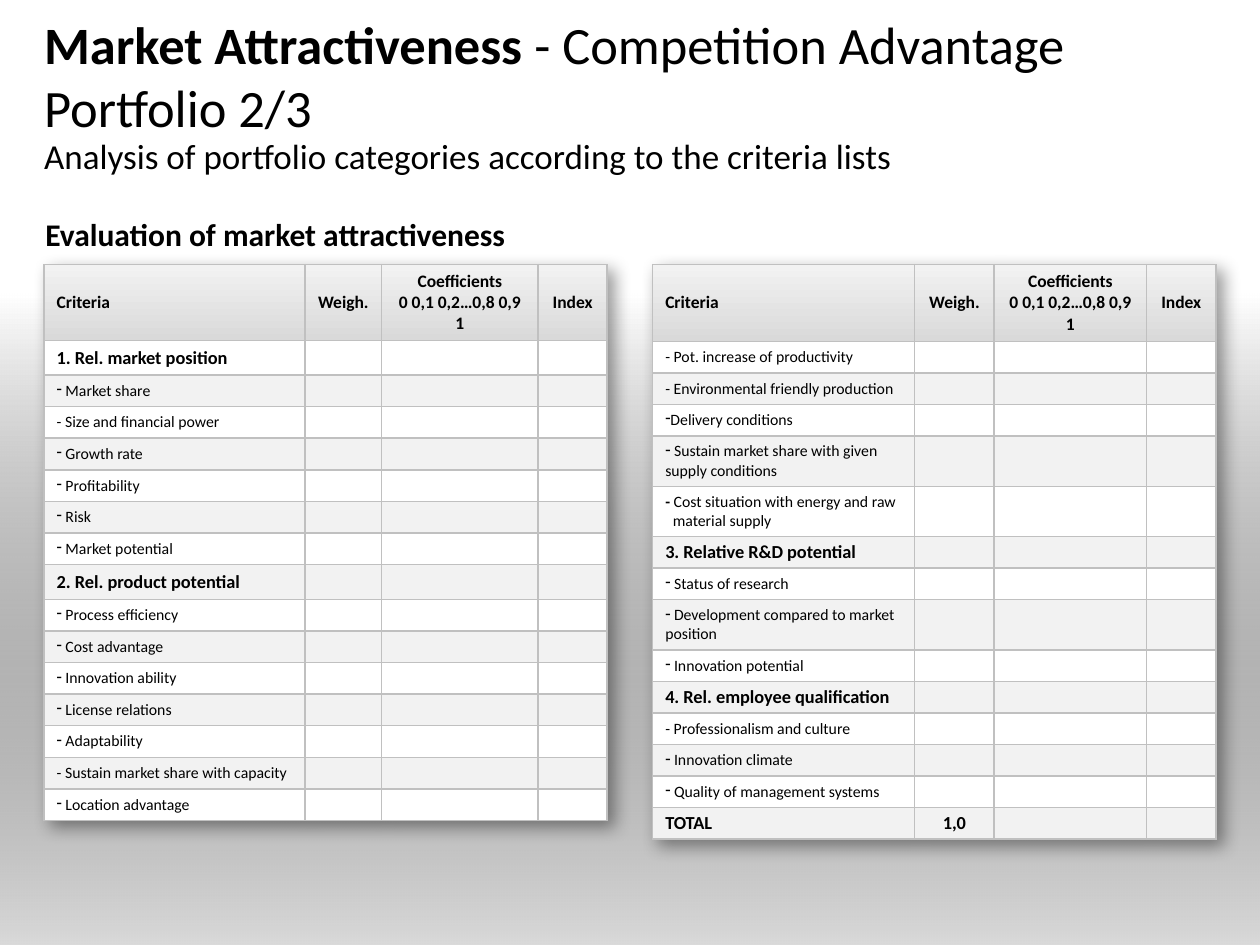
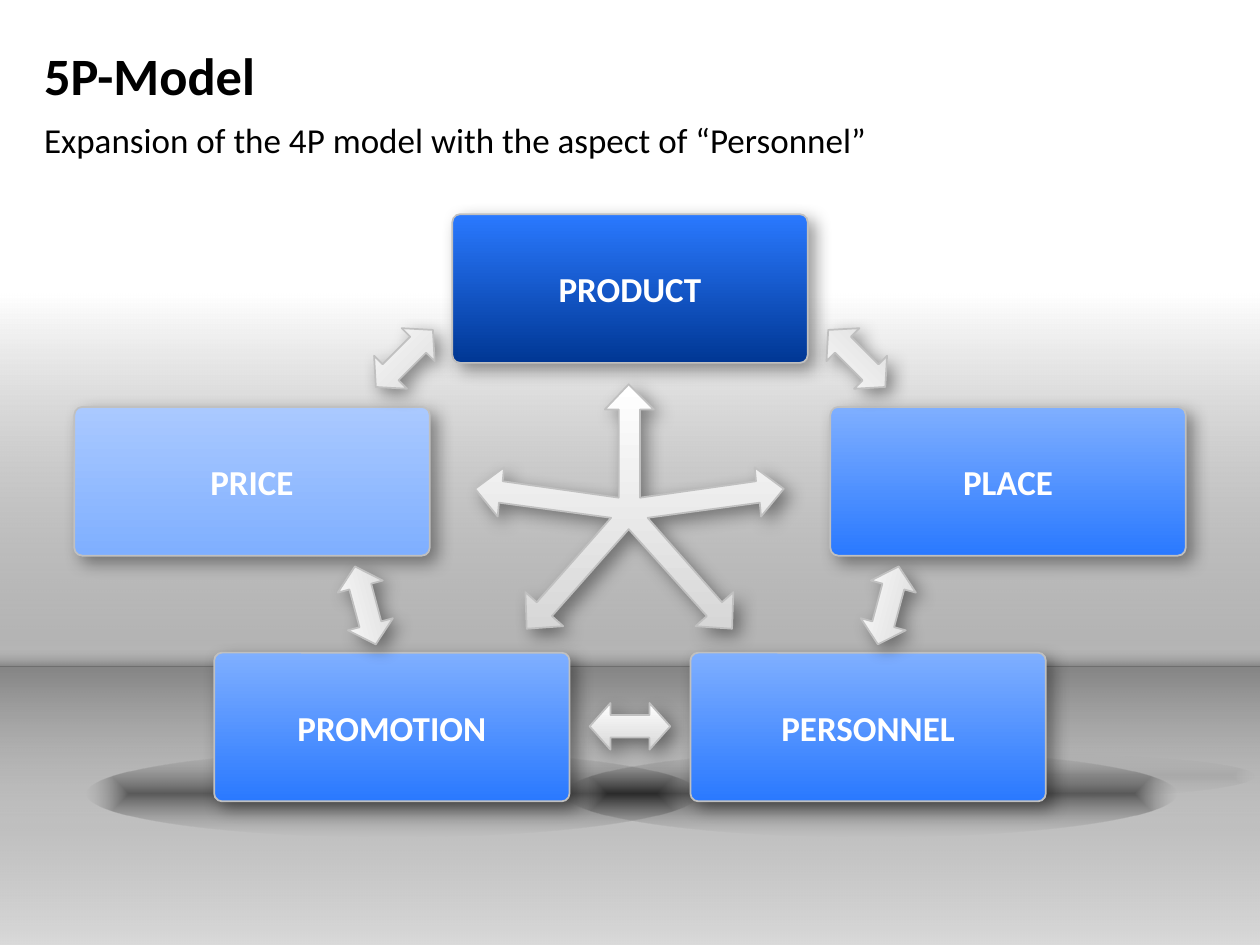
from lxml.etree import SubElement
from pptx import Presentation
from pptx.dml.color import RGBColor
from pptx.enum.shapes import MSO_SHAPE
from pptx.enum.text import MSO_ANCHOR, PP_ALIGN
from pptx.oxml import parse_xml
from pptx.oxml.ns import nsdecls, qn
from pptx.util import Inches, Pt

FONT = "Calibri"
BLACK, WHITE, SILVER, PALE = "000000", "FFFFFF", "C0C0C0", "F2F2F2"
HEADER_GRADIENT = [(0, PALE, 100), (100, "D9D9D9", 100)]
BACKDROP = [(0, BLACK, 15), (100, WHITE, 100)]
HORIZON = [(0, BLACK, 26), (98, WHITE, 0)]
ARROW_GRADIENT = [(0, "D7D7D7", 100), (100, WHITE, 100)]
LIGHT_BLUE = [(0, "AAC9FF", 100), (100, "7FAFFF", 100)]
MID_BLUE = [(0, "7FAFFF", 100), (100, "2A79FF", 100)]
DARK_BLUE = [(0, "2A79FF", 100), (100, "003794", 100)]
SHADOW = (
    f'<a:outerShdw {nsdecls("a")} blurRad="127000" dist="63500" dir="2700000" '
    'algn="tl" rotWithShape="0"><a:srgbClr val="000000"><a:alpha val="40000"/>'
    "</a:srgbClr></a:outerShdw>"
)

HEADERS = ["Criteria", "Weigh.", "Coefficients\n0 0,1 0,2…0,8 0,9 1", "Index"]
COST_CRITERION = "- Cost situation with energy and raw material supply"
MARKET_CRITERIA = [
    "1. Rel. market position", " Market share", "- Size and financial power",
    " Growth rate", " Profitability", " Risk", " Market potential",
    "2. Rel. product potential", " Process efficiency", " Cost advantage",
    " Innovation ability", " License relations", " Adaptability",
    "- Sustain market share with capacity", " Location advantage",
]
POTENTIAL_CRITERIA = [
    "- Pot. increase of productivity", "- Environmental friendly production",
    "Delivery conditions", " Sustain market share with given supply conditions",
    COST_CRITERION, "3. Relative R&D potential", " Status of research",
    " Development compared to market position", " Innovation potential",
    "4. Rel. employee qualification", "- Professionalism and culture",
    " Innovation climate", " Quality of management systems", "TOTAL",
]
TWO_LINE_ROWS = (4, 5, 8)

BOX_SIZE = (2.82, 1.18)
BOXES_BACK = [
    ("PRICE", 0.59, 3.23, LIGHT_BLUE),
    ("PRODUCT", 3.59, 1.7, DARK_BLUE),
    ("PLACE", 6.59, 3.23, MID_BLUE),
]
BOXES_FRONT = [("PROMOTION", 1.7, 5.18, MID_BLUE), ("PERSONNEL", 5.48, 5.18, MID_BLUE)]
LINK_ARROWS = [
    (2.58, 4.62, 255), (6.73, 4.62, 285), (4.68, 5.58, 0),
    (2.89, 2.66, 315), (6.48, 2.66, 225),
]
STAR_AXIS_SUM = 9.99
STAR_RIGHT_HALF = [
    (4.99, 3.05), (5.19, 3.25), (5.08, 3.25), (5.08, 3.95), (6, 3.82),
    (5.99, 3.71), (6.22, 3.88), (6.04, 4.1), (6.03, 3.99), (5.14, 4.11),
    (5.73, 4.78), (5.82, 4.7), (5.81, 4.99), (5.52, 4.97), (5.61, 4.89),
    (4.99, 4.2),
]


def color(value):
    """Turn a hex string into a colour."""
    return RGBColor.from_string(value)


def format_runs(paragraph, size, bold=False, tint=BLACK):
    """Apply the shared typeface to all runs of a paragraph."""
    for run in paragraph.runs:
        run.font.name, run.font.size, run.font.bold = FONT, Pt(size), bold
        run.font.color.rgb = color(tint)


def gradient(owner, holder, stops, angle=None):
    """Fill the owner with a linear gradient, or a centred one without an angle."""
    owner.fill.background()
    marks = "".join(
        f'<a:gs pos="{position * 1000}"><a:srgbClr val="{tint}">'
        f'<a:alpha val="{opacity * 1000}"/></a:srgbClr></a:gs>'
        for position, tint, opacity in stops
    )
    if angle is None:
        course = ('<a:path path="shape"><a:fillToRect l="50000" t="50000" '
                  'r="50000" b="50000"/></a:path>')
    else:
        course = f'<a:lin ang="{angle * 60000}" scaled="0"/>'
    blank = holder.find(qn("a:noFill"))
    holder.replace(blank, parse_xml(
        f'<a:gradFill {nsdecls("a")} rotWithShape="1"><a:gsLst>{marks}</a:gsLst>'
        f"{course}</a:gradFill>"))


def flat_shape(slide, kind, area, stops, angle=None):
    """Add a preset shape with a gradient and without outline or shadow."""
    shape = slide.shapes.add_shape(kind, *map(Inches, area))
    gradient(shape, shape._element.spPr, stops, angle)
    shape.line.fill.background()
    shape.shadow.inherit = False
    return shape


def raise_shape(shape):
    """Give a shape the silver outline and the soft shadow."""
    shape.line.color.rgb = color(SILVER)
    shape.line.width = Pt(1)
    shape.shadow.inherit = False
    shape._element.spPr.find(qn("a:effectLst")).append(parse_xml(SHADOW))


def text_area(slide, area, anchor=MSO_ANCHOR.TOP):
    """Add a wrapping text box without insets and return its first paragraph."""
    frame = slide.shapes.add_textbox(*map(Inches, area)).text_frame
    frame.word_wrap = True
    frame.vertical_anchor = anchor
    frame.margin_left = frame.margin_right = frame.margin_top = frame.margin_bottom = 0
    return frame.paragraphs[0]


def heading(slide, strong, subtitle, subtitle_top, lines=()):
    """Add the title, bold first and then regular lines, and the subtitle."""
    title = text_area(slide, (0.35, 0.26, 9.29, 0.67), MSO_ANCHOR.MIDDLE)
    title.text = strong
    format_runs(title, 30)
    for number, line in enumerate(lines):
        if number:
            title.add_line_break()
        title.add_run().text = line
    format_runs(title, 30)
    title.runs[0].font.bold = True
    summary = text_area(slide, (0.35, subtitle_top, 9.29, 0.37))
    summary.text = subtitle
    summary.space_before = Pt(4)
    format_runs(summary, 20)


def new_slide(deck):
    """Add a blank slide with the shared grey backdrop."""
    slide = deck.slides.add_slide(deck.slide_layouts[6])
    flat_shape(slide, MSO_SHAPE.RECTANGLE, (0, 2.33, 10, 5.17), BACKDROP, 270)
    return slide


def border(cell):
    """Draw silver lines on the four sides of a cell."""
    for place, side in enumerate(("lnL", "lnR", "lnT", "lnB")):
        cell._tc.get_or_add_tcPr().insert(place, parse_xml(
            f'<a:{side} {nsdecls("a")} w="12700"><a:solidFill>'
            f'<a:srgbClr val="{SILVER}"/></a:solidFill></a:{side}>'))


def write_cell(cell, text, size, bold, centred):
    """Write one table cell, keeping empty cells at the body size."""
    cell.vertical_anchor = MSO_ANCHOR.MIDDLE
    paragraph = cell.text_frame.paragraphs[0]
    if not text:
        SubElement(paragraph._p, qn("a:endParaRPr"), sz=str(int(size * 100)))
        return
    paragraph.text = text
    paragraph.alignment = PP_ALIGN.CENTER if centred else PP_ALIGN.LEFT
    format_runs(paragraph, size, bold)


def write_criterion(cell, text):
    """Write a criterion, bold for sections and dashed for their items."""
    section = text[0].isdigit() or text == "TOTAL"
    write_cell(cell, text, 10.5 if section else 9, section, False)
    paragraph = cell.text_frame.paragraphs[0]
    properties = paragraph._p.get_or_add_pPr()
    if text == COST_CRITERION:
        properties.set("marL", str(Inches(0.06)))
        properties.set("indent", str(Inches(-0.06)))
        paragraph.runs[0].text = text[:2]
        paragraph.add_run().text = text[2:]
        format_runs(paragraph, 9)
        paragraph.runs[0].font.bold = True
    elif not section and not text.startswith("-"):
        SubElement(properties, qn("a:buFontTx"))
        SubElement(properties, qn("a:buChar"), char="-")


def criteria_table(slide, left, widths, heights, criteria, padding):
    """Add a striped criteria table and return it."""
    table = slide.shapes.add_table(
        len(heights), len(widths), Inches(left), Inches(2.1),
        Inches(sum(widths)), Inches(sum(heights))).table
    effects = parse_xml(f'<a:effectLst {nsdecls("a")}/>')
    effects.append(parse_xml(SHADOW))
    table._tbl.tblPr.insert(0, effects)
    for column, width in zip(table.columns, widths):
        column.width = Inches(width)
    for number, (row, height) in enumerate(zip(table.rows, heights)):
        row.height = Inches(height)
        for place, cell in enumerate(row.cells):
            cell.margin_top = cell.margin_bottom = Inches(padding)
            if number == 0:
                write_cell(cell, HEADERS[place], 10, True, place > 0)
                gradient(cell, cell._tc.get_or_add_tcPr(), HEADER_GRADIENT, 90)
            else:
                if place == 0:
                    write_criterion(cell, criteria[number - 1])
                else:
                    write_cell(cell, "", 9, False, True)
                cell.fill.solid()
                cell.fill.fore_color.rgb = color(WHITE if number % 2 else PALE)
            border(cell)
    return table


def model_box(slide, label, left, top, stops):
    """Add one labelled box of the model."""
    box = flat_shape(slide, MSO_SHAPE.ROUNDED_RECTANGLE, (left, top, *BOX_SIZE), stops, 90)
    box.adjustments[0] = 0.053
    raise_shape(box)
    frame = box.text_frame
    frame.margin_left = frame.margin_right = frame.margin_top = frame.margin_bottom = 0
    frame.vertical_anchor = MSO_ANCHOR.MIDDLE
    frame.text = label
    frame.paragraphs[0].alignment = PP_ALIGN.CENTER
    format_runs(frame.paragraphs[0], 20, True, WHITE)


def link_arrow(slide, left, top, turn):
    """Add a double arrow between two neighbouring boxes."""
    arrow = flat_shape(slide, MSO_SHAPE.LEFT_RIGHT_ARROW, (left, top, 0.64, 0.37),
                       ARROW_GRADIENT, 270)
    arrow.adjustments[0], arrow.adjustments[1] = 0.483, 0.446
    arrow.rotation = turn
    raise_shape(arrow)


def five_way_arrow(slide):
    """Add the central arrow by mirroring its right half."""
    left_half = [(STAR_AXIS_SUM - x, y) for x, y in STAR_RIGHT_HALF[-2:0:-1]]
    outline = [(Inches(x), Inches(y)) for x, y in STAR_RIGHT_HALF + left_half]
    builder = slide.shapes.build_freeform(*outline[0])
    builder.add_line_segments(outline[1:], close=True)
    star = builder.convert_to_shape()
    gradient(star, star._element.spPr, ARROW_GRADIENT, 270)
    raise_shape(star)


def floor_shadow(slide, area, opacity):
    """Add a soft elliptic shadow on the floor."""
    flat_shape(slide, MSO_SHAPE.OVAL, area, [(0, BLACK, opacity), (100, "7F7F7F", 0)])


def portfolio_slide(deck):
    """Build the slide with the two criteria tables."""
    slide = new_slide(deck)
    heading(slide, "Market Attractiveness ",
            "Analysis of portfolio categories according to the criteria lists", 1.07,
            ("- Competition Advantage ", "Portfolio 2/3"))
    criteria_table(slide, 0.35, (2.07, 0.61, 1.24, 0.55),
                   [0.5] + [0.25] * len(MARKET_CRITERIA), MARKET_CRITERIA, 0.05)
    heights = [0.61] + [0.4 if row in TWO_LINE_ROWS else 0.25
                        for row in range(1, len(POTENTIAL_CRITERIA) + 1)]
    potential = criteria_table(slide, 5.18, (2.08, 0.63, 1.21, 0.55),
                               heights, POTENTIAL_CRITERIA, 0)
    write_cell(potential.cell(len(POTENTIAL_CRITERIA), 1), "1,0", 10.5, True, True)
    evaluation = text_area(slide, (0.36, 1.71, 4.18, 0.35))
    evaluation.text = "Evaluation of market attractiveness"
    format_runs(evaluation, 18, True)


def model_slide(deck):
    """Build the slide with the five linked boxes."""
    slide = new_slide(deck)
    flat_shape(slide, MSO_SHAPE.RECTANGLE, (0, 5.29, 10, 1.3), HORIZON, 90)
    flat_shape(slide, MSO_SHAPE.RECTANGLE, (0, 5.12, 10, 0.17), HORIZON, 270)
    heading(slide, "5P-Model",
            "Expansion of the 4P model with the aspect of “Personnel”", 0.94)
    floor_shadow(slide, (6.03, 5.98, 3.93, 0.36), 7)
    floor_shadow(slide, (0.69, 5.96, 4.85, 0.68), 52)
    for box in BOXES_BACK:
        model_box(slide, *box)
    floor_shadow(slide, (4.49, 5.96, 4.85, 0.68), 52)
    for box in BOXES_FRONT:
        model_box(slide, *box)
    for arrow in LINK_ARROWS:
        link_arrow(slide, *arrow)
    five_way_arrow(slide)


def main():
    """Build and save the deck."""
    deck = Presentation()
    deck.slide_width, deck.slide_height = Inches(10), Inches(7.5)
    portfolio_slide(deck)
    model_slide(deck)
    deck.save("out.pptx")


if __name__ == "__main__":
    main()
